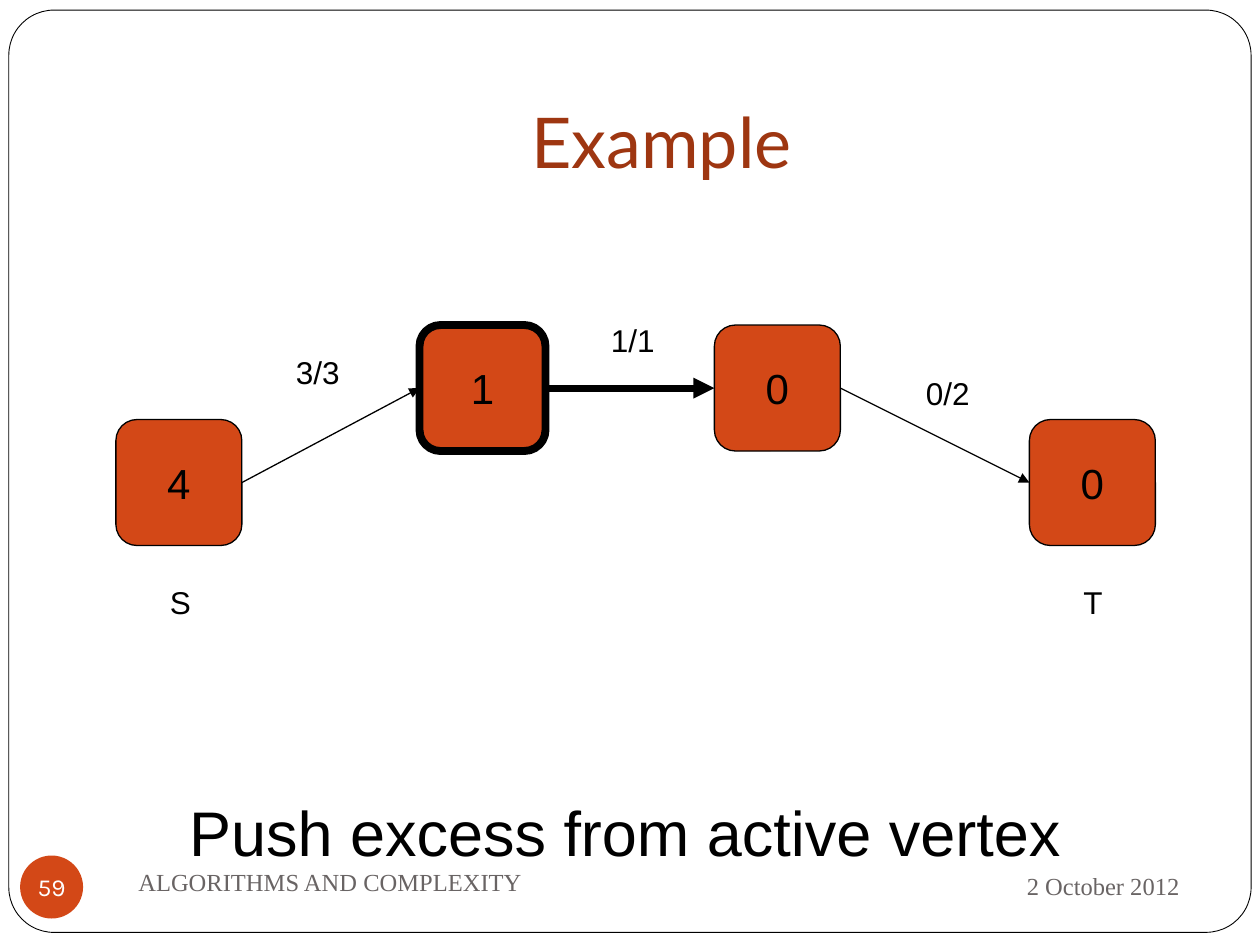
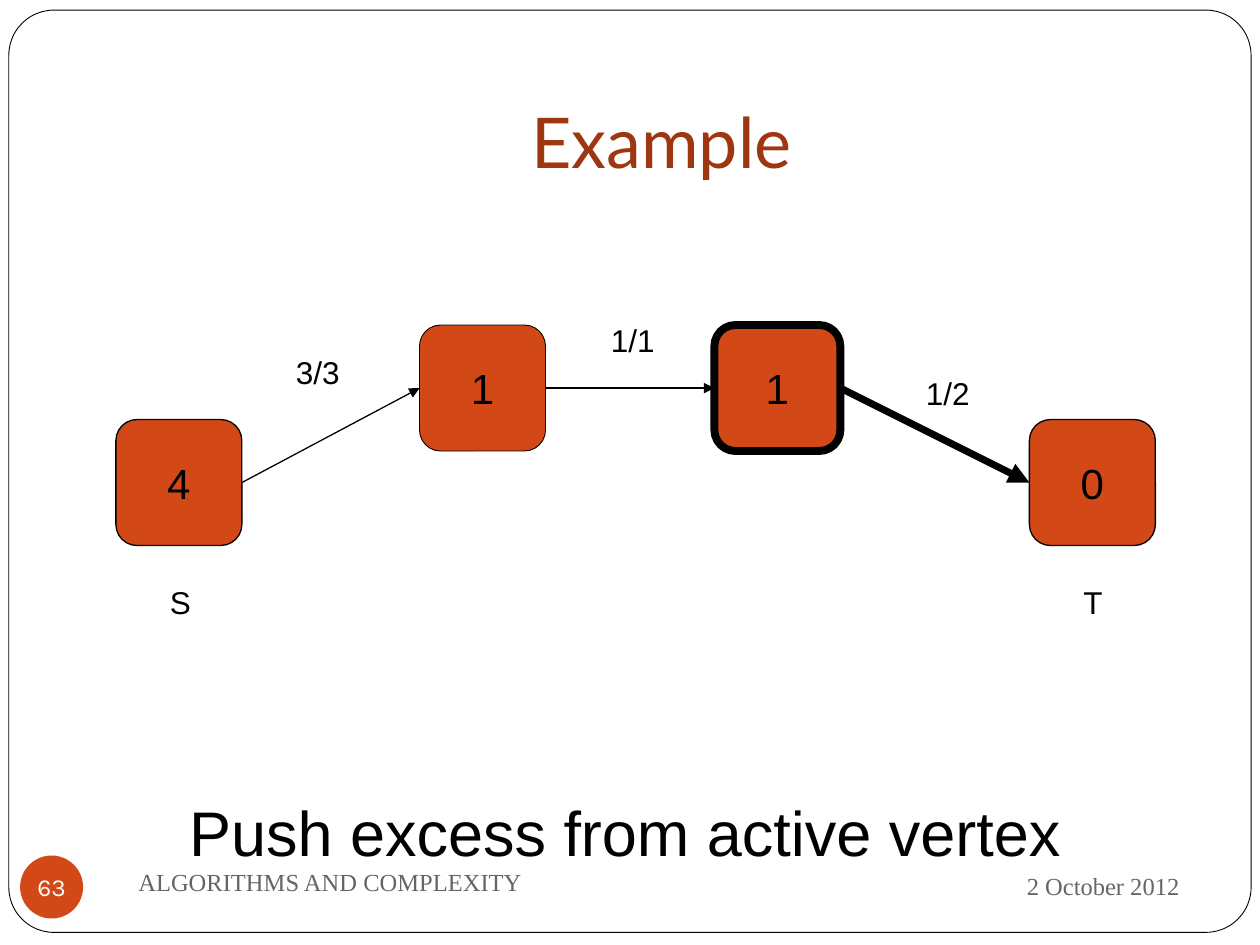
from dataclasses import dataclass

from lxml.etree import SubElement
from pptx import Presentation
from pptx.dml.color import RGBColor
from pptx.enum.shapes import MSO_CONNECTOR, MSO_SHAPE
from pptx.enum.text import MSO_ANCHOR, PP_ALIGN
from pptx.oxml.ns import qn
from pptx.util import Inches, Pt

BLACK = "000000"
WHITE = "FFFFFF"
ORANGE = "D34817"
RUST = "9E3611"
GREY = "696464"
BODY_FONT = "Arial"
FOOTER_FONT = "Times New Roman"
NODE_SIZE = 1.0
RIGHT_SIDE, LEFT_SIDE = 3, 1
THIN, BOLD_NODE, BOLD_EDGE = 0.75, 4.5, 4


@dataclass(frozen=True)
class Box:
    left: float
    top: float
    width: float
    height: float

    def lengths(self) -> tuple:
        return tuple(Inches(v) for v in (self.left, self.top, self.width, self.height))


@dataclass(frozen=True)
class TextStyle:
    size: float
    font: str = BODY_FONT
    color: str = BLACK
    align: PP_ALIGN = PP_ALIGN.LEFT
    anchor: MSO_ANCHOR = MSO_ANCHOR.TOP
    wrap: bool = True


@dataclass(frozen=True)
class Step:
    number: str
    excesses: tuple[str, ...]
    flows: tuple[str, ...]
    active: int
    outlines: tuple[float, ...]


TITLE = TextStyle(40, "Lato", RUST, PP_ALIGN.CENTER, MSO_ANCHOR.BOTTOM)
CAPTION = TextStyle(36, align=PP_ALIGN.CENTER)
NODE = TextStyle(24, align=PP_ALIGN.CENTER, anchor=MSO_ANCHOR.MIDDLE, wrap=False)
LABEL = TextStyle(18, wrap=False)
DATE = TextStyle(14, FOOTER_FONT, GREY, PP_ALIGN.RIGHT, MSO_ANCHOR.MIDDLE)
COURSE = TextStyle(14, FOOTER_FONT, GREY, anchor=MSO_ANCHOR.MIDDLE)
NUMBER = TextStyle(14, "Karla", WHITE, PP_ALIGN.CENTER, MSO_ANCHOR.MIDDLE, False)

NODE_CORNERS = ((0.92, 3.33), (3.33, 2.58), (5.67, 2.58), (8.17, 3.33))
FLOW_CORNERS = ((2.25, 2.75), (4.75, 2.5), (7.25, 2.92))
TERMINALS = (("S", Box(1.25, 4.58, 0.37, 0.4)), ("T", Box(8.5, 4.58, 0.35, 0.4)))

STEPS = (
    Step("59", ("4", "1", "0", "0"), ("3/3", "1/1", "0/2"), 1,
         (THIN, BOLD_NODE, THIN, THIN)),
    Step("63", ("4", "1", "1", "0"), ("3/3", "1/1", "1/2"), 2,
         (THIN, 0.5, BOLD_NODE, THIN)),
)


def rgb(color: str) -> RGBColor:
    return RGBColor.from_string(color)


def write(shape, text: str, style: TextStyle) -> None:
    frame = shape.text_frame
    frame.text = text
    frame.word_wrap = style.wrap
    frame.vertical_anchor = style.anchor
    paragraph = frame.paragraphs[0]
    paragraph.alignment = style.align
    font = paragraph.runs[0].font
    font.size = Pt(style.size)
    font.name = style.font
    font.color.rgb = rgb(style.color)


def add_text(slide, box: Box, text: str, style: TextStyle):
    shape = slide.shapes.add_textbox(*box.lengths())
    write(shape, text, style)
    return shape


def add_filled(slide, kind: MSO_SHAPE, box: Box, fill: str, outline: float = 0):
    shape = slide.shapes.add_shape(kind, *box.lengths())
    shape.shadow.inherit = False
    shape.fill.solid()
    shape.fill.fore_color.rgb = rgb(fill)
    if outline:
        shape.line.color.rgb = rgb(BLACK)
        shape.line.width = Pt(outline)
    else:
        shape.line.fill.background()
    return shape


def add_node(slide, corner: tuple[float, float], excess: str, outline: float):
    box = Box(*corner, NODE_SIZE, NODE_SIZE)
    node = add_filled(slide, MSO_SHAPE.ROUNDED_RECTANGLE, box, ORANGE, outline)
    node.adjustments[0] = 0.167
    write(node, excess, NODE)
    return node


def add_edge(slide, source, target, width: float) -> None:
    edge = slide.shapes.add_connector(MSO_CONNECTOR.STRAIGHT, 0, 0, 0, 0)
    edge.begin_connect(source, RIGHT_SIDE)
    edge.end_connect(target, LEFT_SIDE)
    edge.line.color.rgb = rgb(BLACK)
    edge.line.width = Pt(width)
    SubElement(edge.line._get_or_add_ln(), qn("a:tailEnd"), type="triangle")
    SubElement(edge._element.spPr, qn("a:effectLst"))


def add_frame(slide) -> None:
    frame = add_filled(slide, MSO_SHAPE.ROUNDED_RECTANGLE,
                       Box(0.07, 0.08, 9.86, 7.32), WHITE, 0.5)
    frame.adjustments[0] = 0.049


def add_title(slide) -> None:
    title = add_text(slide, Box(1, 0.3, 8.5, 1.25), "Example", TITLE)
    title.text_frame.margin_bottom = Inches(0.1)


def add_footer(slide, number: str) -> None:
    add_text(slide, Box(6.75, 6.77, 2.71, 0.52), "2 October 2012", DATE)
    badge = add_filled(slide, MSO_SHAPE.OVAL, Box(0.16, 6.79, 0.5, 0.5), ORANGE)
    write(badge, number, NUMBER)
    frame = badge.text_frame
    frame.margin_left = frame.margin_right = Inches(0)
    frame.margin_top = frame.margin_bottom = Inches(0)
    add_text(slide, Box(1, 6.75, 4.33, 0.5), "ALGORITHMS AND COMPLEXITY", COURSE)


def add_network(slide, step: Step) -> None:
    nodes = [add_node(slide, *values)
             for values in zip(NODE_CORNERS, step.excesses, step.outlines)]
    for index, (source, target) in enumerate(zip(nodes, nodes[1:])):
        add_edge(slide, source, target, BOLD_EDGE if index == step.active else THIN)
    for corner, flow in zip(FLOW_CORNERS, step.flows):
        add_text(slide, Box(*corner, 0.55, 0.4), flow, LABEL)
    for name, box in TERMINALS:
        add_text(slide, box, name, LABEL)


def add_step_slide(presentation, step: Step) -> None:
    slide = presentation.slides.add_slide(presentation.slide_layouts[6])
    add_frame(slide)
    add_network(slide, step)
    add_text(slide, Box(1, 6.25, 7.92, 0.7), "Push excess from active vertex", CAPTION)
    add_footer(slide, step.number)
    add_title(slide)


def main() -> None:
    presentation = Presentation()
    presentation.slide_width = Inches(10)
    presentation.slide_height = Inches(7.5)
    for step in STEPS:
        add_step_slide(presentation, step)
    presentation.save("out.pptx")


if __name__ == "__main__":
    main()
